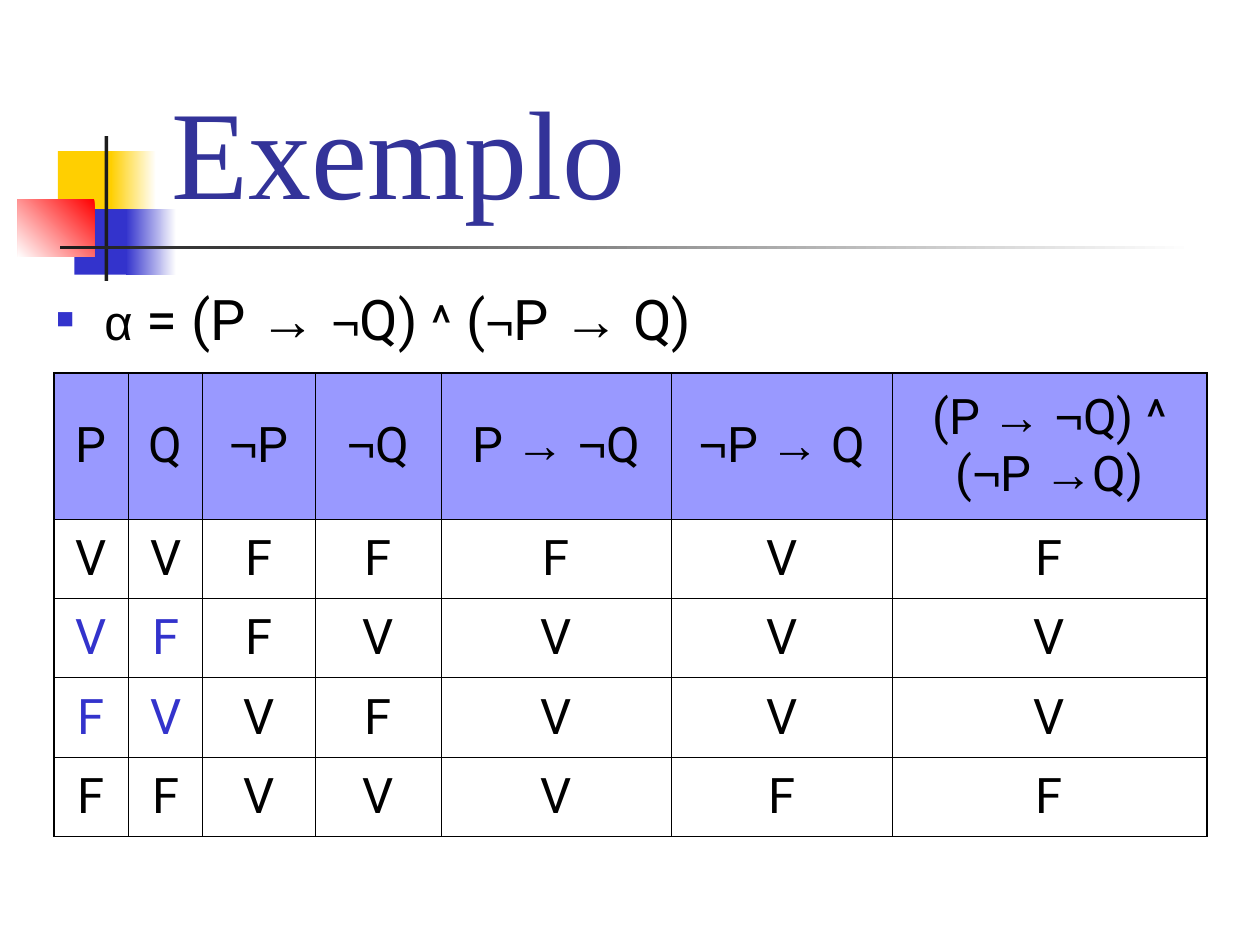
from itertools import groupby
from typing import NamedTuple, Optional

from lxml.etree import SubElement
from pptx import Presentation
from pptx.dml.color import RGBColor
from pptx.enum.shapes import MSO_SHAPE as Preset
from pptx.enum.text import MSO_ANCHOR as Anchor, MSO_AUTO_SIZE as AutoSize, PP_ALIGN as Align
from pptx.oxml import parse_xml
from pptx.oxml.ns import nsdecls, qn
from pptx.util import Inches, Pt

COLUMNS, ROWS = 100, 75
SLIDE_WIDTH, SLIDE_HEIGHT = Inches(10), Inches(7.5)
COLORS = {
    "yellow": "FFCF01", "blue": "3333CC", "red": "FF0000", "dark": "1C1C1C",
    "white": "FFFFFF", "title": "333399", "header": "9999FF", "black": "000000",
}
SYMBOLS = "α→¬"
SMALL_SYMBOLS = "α¬^"
INNER_BORDER, OUTER_BORDER = 0.45, 1.08


class Box(NamedTuple):
    column: float
    row: float
    width: float
    height: float


class Block(NamedTuple):
    box: Box
    color: str
    fade_to: Optional[str] = None
    angle: int = 0


BLOCKS = [
    Block(Box(4.6, 12, 4.8, 5.2), "yellow"),
    Block(Box(8.8, 12, 3.6, 5.2), "white", "yellow", 180),
    Block(Box(5.9, 16.6, 4.6, 5.2), "blue"),
    Block(Box(10, 16.6, 4, 5.2), "white", "blue", 180),
    Block(Box(1.4, 15.8, 6.1, 4.6), "red", "white", 225),
    Block(Box(8.3, 10.8, 0.3, 11.5), "dark"),
    Block(Box(4.8, 19.5, 90, 0.3), "white", "dark", 180),
]
TITLE_BOX = Box(12.6, 2.3, 85.2, 16)
FORMULA_BOX = Box(3.5, 22.1, 65.4, 7.6)
TABLE_BOX = Box(4.3, 29.6, 91.5, 33)
COLUMN_WIDTHS = [5.9, 5.9, 8.9, 10, 18.3, 17.5, 25]
ROW_HEIGHTS = [11.6] + [6.3] * 4
TRUTH_TABLE = [
    ["P", "Q", "¬P", "¬Q", "P → ¬Q", "¬P → Q", "(P → ¬Q) ^ (¬P →Q)"],
    list("VVFFFVF"),
    list("VFFVVVV"),
    list("FVVFVVV"),
    list("FFVVVFF"),
]
HIGHLIGHTED_ROWS, HIGHLIGHTED_COLUMNS = (2, 3), (0, 1)


def rgb(name: str) -> RGBColor:
    return RGBColor.from_string(COLORS[name])


def across(columns: float) -> int:
    return round(SLIDE_WIDTH * columns / COLUMNS)


def down(rows: float) -> int:
    return round(SLIDE_HEIGHT * rows / ROWS)


def place(box: Box) -> tuple[int, int, int, int]:
    return across(box.column), down(box.row), across(box.width), down(box.height)


def write(paragraph, text: str, *, size: float, small: Optional[float] = None,
          color: str = "black", font: str = "Roboto", symbol_font: str = "Arial",
          align=Align.LEFT, before: float = 0) -> None:
    paragraph.alignment = align
    paragraph.space_before = Pt(before)

    def style(index: int) -> tuple[str, float]:
        between_symbols = text[index - 1:index + 2] == "→ ¬"
        name = symbol_font if text[index] in SYMBOLS or between_symbols else font
        return name, small if small and text[index] in SMALL_SYMBOLS else size

    for (name, points), indexes in groupby(range(len(text)), key=style):
        run = paragraph.add_run()
        run.text = "".join(text[index] for index in indexes)
        run.font.name = name
        run.font.size = Pt(points)
        run.font.color.rgb = rgb(color)


def draw_block(slide, block: Block) -> None:
    shape = slide.shapes.add_shape(Preset.RECTANGLE, *place(block.box))
    shape.shadow.inherit = False
    shape.line.fill.background()
    if block.fade_to is None:
        shape.fill.solid()
        shape.fill.fore_color.rgb = rgb(block.color)
        return
    shape.fill.gradient()
    shape.fill.gradient_angle = block.angle
    for stop, color, position in zip(shape.fill.gradient_stops, (block.color, block.fade_to), (0, 1)):
        stop.color.rgb = rgb(color)
        stop.position = position


def draw_title(slide, text: str) -> None:
    title = slide.shapes.title
    title.left, title.top, title.width, title.height = place(TITLE_BOX)
    title.text_frame.vertical_anchor = Anchor.BOTTOM
    title.text_frame.auto_size = AutoSize.NONE
    write(title.text_frame.paragraphs[0], text, size=72, color="title", font="Times New Roman")


def draw_formula(slide, text: str) -> None:
    frame = slide.shapes.add_textbox(*place(FORMULA_BOX)).text_frame
    frame.word_wrap = True
    paragraph = frame.paragraphs[0]
    write(paragraph, text, size=32, small=28, before=8)
    properties = paragraph._p.get_or_add_pPr()
    indent = across(3.8)
    properties.set("marL", str(indent))
    properties.set("indent", str(-indent))
    bullet_color = SubElement(properties, qn("a:buClr"))
    SubElement(bullet_color, qn("a:srgbClr"), val=COLORS["blue"])
    SubElement(properties, qn("a:buSzPct"), val="60000")
    SubElement(properties, qn("a:buFont"), typeface="Arial")
    SubElement(properties, qn("a:buChar"), char="■")


def set_borders(cell, outer_sides: dict[str, bool]) -> None:
    properties = cell._tc.get_or_add_tcPr()
    for position, (side, is_outer) in enumerate(outer_sides.items()):
        width = Pt(OUTER_BORDER if is_outer else INNER_BORDER)
        properties.insert(position, parse_xml(
            f'<a:ln{side} {nsdecls("a")} w="{width}"><a:solidFill>'
            f'<a:srgbClr val="{COLORS["black"]}"/></a:solidFill></a:ln{side}>'))


def draw_truth_table(slide) -> None:
    last_row, last_column = len(ROW_HEIGHTS) - 1, len(COLUMN_WIDTHS) - 1
    table = slide.shapes.add_table(last_row + 1, last_column + 1, *place(TABLE_BOX)).table
    table.first_row = table.horz_banding = False
    for column, width in zip(table.columns, COLUMN_WIDTHS):
        column.width = across(width)
    for row, height in zip(table.rows, ROW_HEIGHTS):
        row.height = down(height)
    for row, texts in enumerate(TRUTH_TABLE):
        for column, text in enumerate(texts):
            cell = table.cell(row, column)
            cell.vertical_anchor = Anchor.MIDDLE
            highlighted = row in HIGHLIGHTED_ROWS and column in HIGHLIGHTED_COLUMNS
            write(cell.text_frame.paragraphs[0], text, size=28, before=7,
                  color="blue" if highlighted else "black", align=Align.CENTER)
            if row == 0:
                cell.fill.solid()
                cell.fill.fore_color.rgb = rgb("header")
            else:
                cell.fill.background()
            set_borders(cell, {"L": column == 0, "R": column == last_column,
                               "T": row == 0, "B": row == last_row})


def main() -> None:
    presentation = Presentation()
    presentation.slide_width, presentation.slide_height = SLIDE_WIDTH, SLIDE_HEIGHT
    slide = presentation.slides.add_slide(presentation.slide_layouts[5])
    for block in BLOCKS:
        draw_block(slide, block)
    draw_title(slide, "Exemplo")
    draw_formula(slide, "α = (P → ¬Q) ^ (¬P → Q)")
    draw_truth_table(slide)
    presentation.save("out.pptx")


if __name__ == "__main__":
    main()
